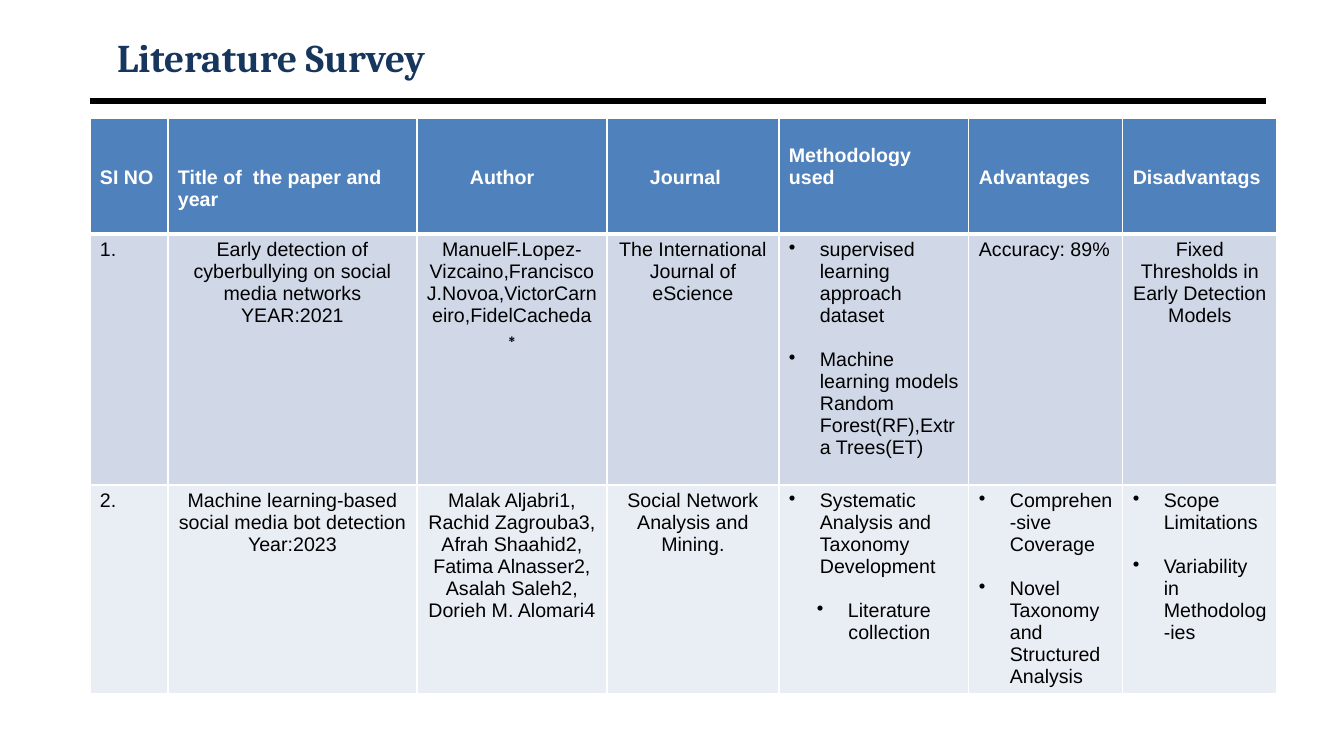
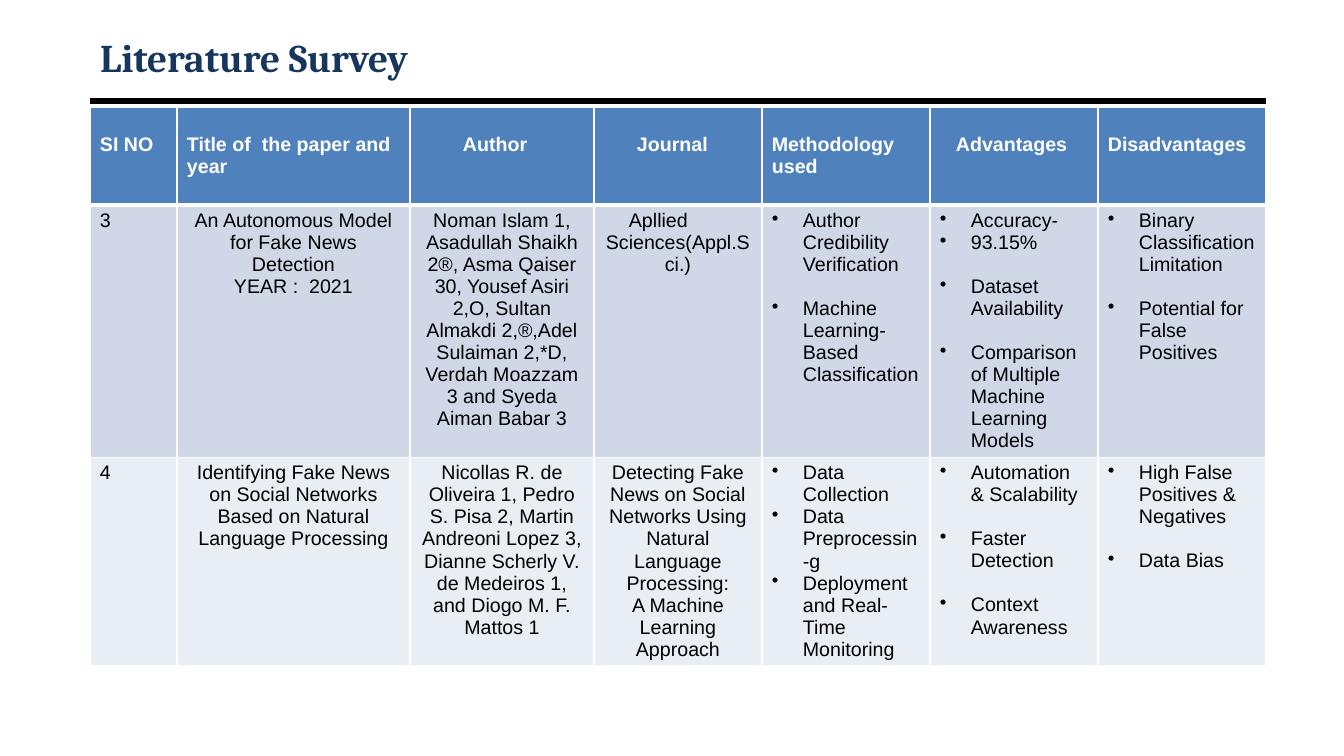
import dataclasses

import lxml.etree
import pptx
import pptx.dml.color
import pptx.enum.shapes
import pptx.enum.text
import pptx.oxml.ns
import pptx.util

SCALE = 914400 / 100.8  # EMU in one px
ALIGN = pptx.enum.text.PP_ALIGN
ANCHOR = pptx.enum.text.MSO_ANCHOR


@dataclasses.dataclass(frozen=True)
class Theme:
    ink: str = "000000"
    navy: str = "17365D"
    white: str = "FFFFFF"
    head: str = "4F81BD"
    bands: tuple = ("D0D8E8", "E9EDF4")
    serif: str = "Cambria"
    sans: str = "Arial"
    big: int = 28
    small: int = 14
    line: int = 22  # height of one small text line, px


THEME = Theme()


def px(num):
    return pptx.util.Emu(round(num * SCALE))


def rgb(code):
    return pptx.dml.color.RGBColor.from_string(code)


def node(base, tag, **attrs):
    return lxml.etree.SubElement(base, pptx.oxml.ns.qn(tag), attrs)


def write(para, text, font=THEME.sans, size=THEME.small, color=THEME.ink,
          bold=False, align=ALIGN.LEFT, indent=0, before=0, dot=False):
    """Fill one paragraph; indent and before are px."""
    run = para.add_run()
    run.text = text
    run.font.name = font
    run.font.size = pptx.util.Pt(size)
    run.font.bold = bold
    run.font.color.rgb = rgb(color)
    para.alignment = align
    para.space_before = px(before)
    props = para._p.get_or_add_pPr()
    props.set("marL", str(px(indent)))
    props.set("indent", str(px(-indent if dot else 0)))
    if dot:
        node(node(props, "a:buClr"), "a:srgbClr", val=color)
        node(props, "a:buChar", char="•")


# Cell content: each helper gives a list of (text, format) pairs

def left(text, indent=0):
    return [(text, dict(indent=indent))]


def mid(*lines):
    return [(text, dict(align=ALIGN.CENTER)) for text in lines]


def dots(*groups, **form):
    """Bulleted lines; a gap of one line parts the groups."""
    out = []
    for i, group in enumerate(groups):
        for j, text in enumerate(group.split("\n")):
            gap = THEME.line if i and not j else 0
            out.append((text, dict(dot=True, indent=31, before=gap) | form))
    return out


# Shared parts

def add_title(slide, text, x, y, w, h):
    title = slide.shapes.title
    title.left, title.top, title.width, title.height = map(px, (x, y, w, h))
    frame = title.text_frame
    frame.auto_size = pptx.enum.text.MSO_AUTO_SIZE.NONE
    frame.vertical_anchor = ANCHOR.MIDDLE
    write(frame.paragraphs[0], text, font=THEME.serif, size=THEME.big,
          color=THEME.navy, bold=True)


def add_rule(slide, x, y, w):
    rule = slide.shapes.add_connector(
        pptx.enum.shapes.MSO_CONNECTOR.STRAIGHT, px(x), px(y), px(x + w), px(y))
    rule.line.color.rgb = rgb(THEME.ink)
    rule.line.width = pptx.util.Pt(4.5)
    node(rule._element.spPr, "a:effectLst")


def add_edges(cell, top, bottom):
    """White borders, which come before the fill; widths are points."""
    props = cell._tc.get_or_add_tcPr()
    for i, (side, width) in enumerate(zip("LRTB", (1, 1, top, bottom))):
        edge = node(props, "a:ln" + side, w=str(pptx.util.Pt(width)))
        node(node(edge, "a:solidFill"), "a:srgbClr", val=THEME.white)
        props.insert(i, edge)


def fill_cell(cell, parts, fill, top=5, **form):
    cell.fill.solid()
    cell.fill.fore_color.rgb = rgb(fill)
    cell.margin_left = cell.margin_right = px(10)
    cell.margin_top, cell.margin_bottom = px(top), px(5)
    cell.vertical_anchor = ANCHOR.TOP
    frame = cell.text_frame
    for i, (text, own) in enumerate(parts):
        para = frame.add_paragraph() if i else frame.paragraphs[0]
        write(para, text, **(form | own))


def add_grid(slide, x, y, cols, rows, heads, body):
    """heads holds (parts, lines left free above); body holds rows of parts."""
    grid = slide.shapes.add_table(len(rows), len(cols), px(x), px(y),
                                  px(sum(cols)), px(sum(rows))).table
    grid.horz_banding = False
    for col, width in zip(grid.columns, cols):
        col.width = px(width)
    for row, height in zip(grid.rows, rows):
        row.height = px(height)
    for c, (parts, free) in enumerate(heads):
        cell = grid.cell(0, c)
        fill_cell(cell, parts, THEME.head, top=5 + free * THEME.line,
                  color=THEME.white, bold=True)
        add_edges(cell, 1, 3)
    for r, line in enumerate(body):
        for c, parts in enumerate(line):
            cell = grid.cell(r + 1, c)
            fill_cell(cell, parts, THEME.bands[r % 2])
            add_edges(cell, 1 if r else 3, 1)


def add_survey(deck, shift, top, cols, rows, heads, body):
    """One survey slide: title, rule and table."""
    x, w = 90, 1176
    slide = deck.slides.add_slide(deck.slide_layouts[5])
    add_rule(slide, x, 101, w)
    add_title(slide, "Literature Survey", x + shift, 30, w - shift, 54)
    add_grid(slide, x, top, cols, rows, heads, body)


def make_heads(free, method, gain, loss):
    """Header cells; free and method are the lines left free above."""
    first = [left("SI NO"), left("Title of  the paper and year"),
             left("Author", 43), left("Journal", 33)]
    return ([(parts, free) for parts in first]
            + [(left("Methodology used"), method), (gain, free), (left(loss), free)])


EARLY = [
    [left("1."),
     mid("Early detection of cyberbullying on social media networks", "YEAR:2021"),
     mid("ManuelF.Lopez-Vizcaino,FranciscoJ.Novoa,VictorCarneiro,FidelCacheda∗"),
     mid("The International Journal of eScience"),
     dots("supervised learning approach dataset",
          "Machine learning models Random Forest(RF),Extra Trees(ET)"),
     left("Accuracy: 89%"),
     mid("Fixed Thresholds in Early Detection Models")],
    [left("2."),
     mid("Machine learning‑based social media bot detection", "Year:2023"),
     mid("Malak Aljabri1,", "Rachid Zagrouba3, Afrah Shaahid2, Fatima Alnasser2, "
         "Asalah Saleh2, Dorieh M. Alomari4"),
     mid("Social Network Analysis and Mining."),
     dots("Systematic Analysis and Taxonomy Development")
     + dots("Literature collection", align=ALIGN.CENTER, before=THEME.line),
     dots("Comprehen-sive Coverage", "Novel Taxonomy and Structured Analysis"),
     dots("Scope Limitations", "Variability in Methodolog-ies")],
]

LATER = [
    [left("3"),
     mid("An Autonomous Model for Fake News Detection", "YEAR :  2021"),
     mid("Noman Islam 1, Asadullah Shaikh 2®, Asma Qaiser 30, Yousef Asiri 2,O, "
         "Sultan Almakdi 2,®,Adel Sulaiman 2,*D, Verdah Moazzam 3 and Syeda "
         "Aiman Babar 3"),
     left("Apllied", 25) + mid("Sciences(Appl.Sci.)"),
     dots("Author Credibility Verification", "Machine Learning-Based Classification"),
     dots("Accuracy-\n93.15%", "Dataset Availability",
          "Comparison of Multiple Machine Learning Models"),
     dots("Binary Classification Limitation", "Potential for False Positives")],
    [left("4"),
     mid("Identifying Fake News on Social Networks Based on Natural Language "
         "Processing"),
     mid("Nicollas R. de Oliveira 1, Pedro S. Pisa 2, Martin Andreoni Lopez 3, "
         "Dianne Scherly V. de Medeiros 1, and Diogo M. F. Mattos 1"),
     mid("Detecting Fake News on Social Networks Using Natural Language Processing:",
         "A Machine Learning Approach"),
     dots("Data Collection\nData Preprocessin-g\n"
          "Deployment and Real-Time Monitoring"),
     dots("Automation & Scalability", "Faster Detection", "Context Awareness"),
     dots("High False Positives & Negatives", "Data Bias")],
]


def main():
    deck = pptx.Presentation()
    deck.slide_width, deck.slide_height = px(1344), px(756)
    add_survey(deck, 17, 118, (78, 249, 190, 172, 190, 154, 154), (116, 251, 208),
               make_heads(2, 1, left("Advantages"), "Disadvantags"), EARLY)
    add_survey(deck, 0, 107, (87, 233, 184) + (168,) * 4, (98, 252, 208),
               make_heads(1, 1, left("Advantages", 16), "Disadvantages"), LATER)
    deck.save("out.pptx")


if __name__ == "__main__":
    main()
